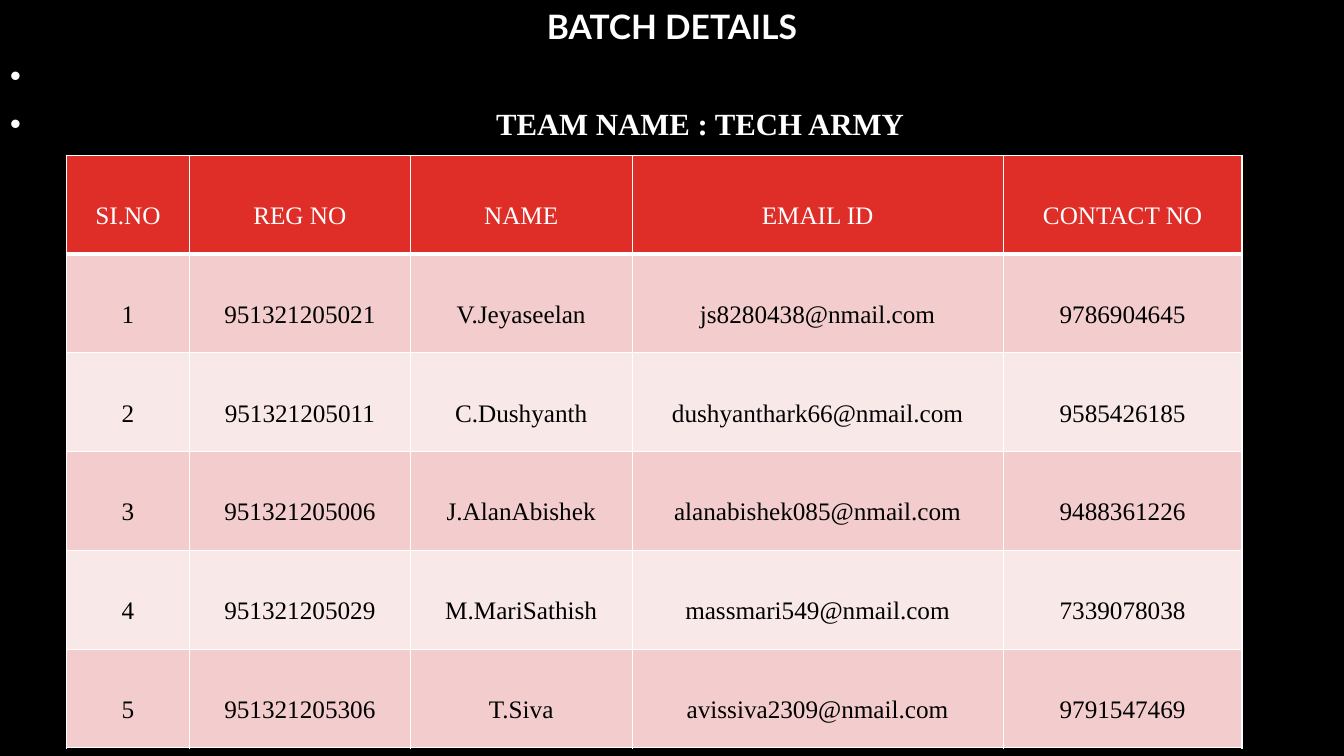
from lxml.etree import SubElement
from pptx import Presentation
from pptx.dml.color import RGBColor
from pptx.enum.text import MSO_ANCHOR, MSO_AUTO_SIZE, PP_ALIGN
from pptx.oxml.ns import qn
from pptx.util import Inches, Pt

# Content
TITLE = "BATCH DETAILS"
# Bullet text and its hanging indent in inches; the first bullet stands alone
BULLETS = [(" ", 0.25), ("TEAM NAME : TECH ARMY", 4.82)]
HEADER = ("SI.NO", "REG NO", "NAME", "EMAIL ID", "CONTACT NO")
MEMBERS = [
    ("1", "951321205021", "V.Jeyaseelan", "js8280438@nmail.com", "9786904645"),
    ("2", "951321205011", "C.Dushyanth", "dushyanthark66@nmail.com", "9585426185"),
    ("3", "951321205006", "J.AlanAbishek", "alanabishek085@nmail.com", "9488361226"),
    ("4", "951321205029", "M.MariSathish", "massmari549@nmail.com", "7339078038"),
    ("5", "951321205306", "T.Siva", "avissiva2309@nmail.com", "9791547469"),
]

# Format
BLACK = RGBColor(0x00, 0x00, 0x00)
WHITE = RGBColor(0xFF, 0xFF, 0xFF)
RED = RGBColor(0xDF, 0x2E, 0x28)
BANDS = (RGBColor(0xF3, 0xCD, 0xCD), RGBColor(0xF9, 0xE8, 0xE8))
SERIF = "Times New Roman"
TITLE_FONT = {"name": "Lato", "size": Pt(24), "bold": True}
BULLET_FONT = {"name": SERIF, "size": Pt(22), "bold": True}
CELL_FONT = {"name": SERIF, "size": Pt(18), "bold": False}

# Layout in inches
WIDTH, HEIGHT = 13.33, 7.5
TITLE_HEIGHT = 0.56
TABLE_LEFT, TABLE_TOP = 0.66, 1.54
COLUMN_WIDTHS = (1.22, 2.19, 2.2, 3.68, 2.37)
ROW_HEIGHT = 0.98


def write(paragraph, text, font_format, color, **paragraph_format):
    run = paragraph.add_run()
    run.text = text
    for name, value in font_format.items():
        setattr(run.font, name, value)
    run.font.color.rgb = color
    for name, value in paragraph_format.items():
        setattr(paragraph, name, value)


def place(shape, left, top, width, height):
    shape.left, shape.top = Inches(left), Inches(top)
    shape.width, shape.height = Inches(width), Inches(height)
    shape.text_frame.auto_size = MSO_AUTO_SIZE.NONE


def hang_bullet(paragraph, indent):
    properties = paragraph._p.get_or_add_pPr()
    properties.set("marL", str(Inches(indent)))
    properties.set("indent", str(-Inches(indent)))
    SubElement(properties, qn("a:buFont"), typeface="Arial")
    SubElement(properties, qn("a:buChar"), char="•")


def set_borders(cell, widths):
    properties = cell._tc.get_or_add_tcPr()
    for side, width in widths.items():
        line = SubElement(properties, qn(f"a:ln{side}"), w=str(Pt(width)))
        fill = SubElement(line, qn("a:solidFill"))
        SubElement(fill, qn("a:srgbClr"), val=str(WHITE))


def add_members_table(slide):
    rows = [HEADER] + MEMBERS
    table = slide.shapes.add_table(
        len(rows), len(HEADER), Inches(TABLE_LEFT), Inches(TABLE_TOP),
        Inches(sum(COLUMN_WIDTHS)), Inches(ROW_HEIGHT * len(rows))).table
    for column, width in zip(table.columns, COLUMN_WIDTHS):
        column.width = Inches(width)
    for row_index, texts in enumerate(rows):
        is_header = row_index == 0
        borders = {"L": 1, "R": 1, "T": 3 if row_index == 1 else 1,
                   "B": 3 if is_header else 1}
        for column_index, text in enumerate(texts):
            cell = table.cell(row_index, column_index)
            set_borders(cell, borders)
            cell.fill.solid()
            cell.fill.fore_color.rgb = RED if is_header else BANDS[(row_index - 1) % 2]
            write(cell.text_frame.paragraphs[0], text, CELL_FONT,
                  WHITE if is_header else BLACK,
                  alignment=PP_ALIGN.CENTER, line_spacing=2.5)


def main():
    presentation = Presentation()
    presentation.slide_width = Inches(WIDTH)
    presentation.slide_height = Inches(HEIGHT)
    slide = presentation.slides.add_slide(presentation.slide_layouts[1])
    slide.background.fill.solid()
    slide.background.fill.fore_color.rgb = BLACK

    # Title
    title = slide.shapes.title
    place(title, 0, 0, WIDTH, TITLE_HEIGHT)
    title.text_frame.vertical_anchor = MSO_ANCHOR.MIDDLE
    write(title.text_frame.paragraphs[0], TITLE, TITLE_FONT, WHITE,
          alignment=PP_ALIGN.CENTER, line_spacing=0.9)

    # Team name
    body = slide.placeholders[1]
    place(body, 0, TITLE_HEIGHT, WIDTH, HEIGHT - TITLE_HEIGHT)
    for index, (text, indent) in enumerate(BULLETS):
        frame = body.text_frame
        paragraph = frame.add_paragraph() if index else frame.paragraphs[0]
        write(paragraph, text, BULLET_FONT, WHITE,
              line_spacing=0.9, space_before=Pt(10))
        hang_bullet(paragraph, indent)

    # Members
    add_members_table(slide)
    presentation.save("out.pptx")


if __name__ == "__main__":
    main()
